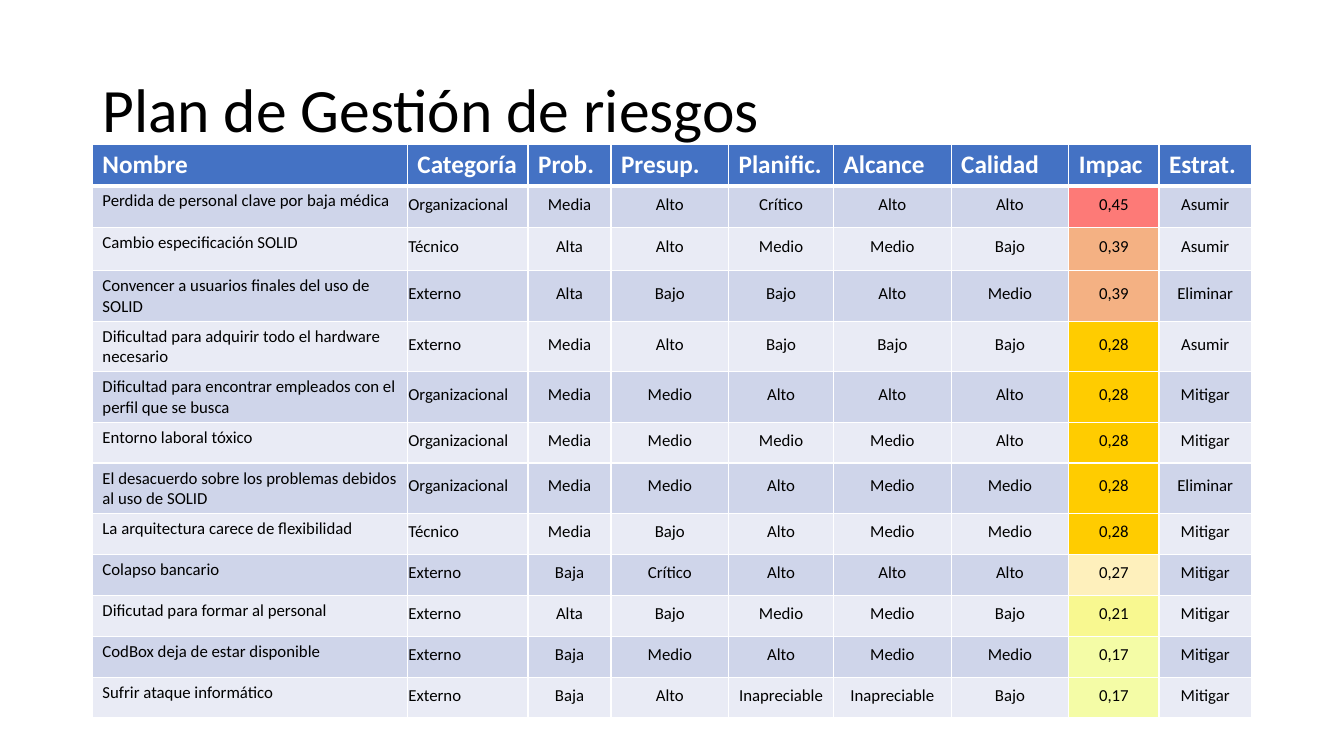
from lxml.etree import SubElement
from pptx import Presentation
from pptx.dml.color import RGBColor
from pptx.enum.text import MSO_ANCHOR, PP_ALIGN
from pptx.oxml.ns import qn
from pptx.util import Pt

PX = 9525
FONT = "Calibri"
BLACK = RGBColor(0x00, 0x00, 0x00)
WHITE = RGBColor(0xFF, 0xFF, 0xFF)
HEADER_BLUE = RGBColor(0x44, 0x72, 0xC4)
BANDS = (RGBColor(0xCF, 0xD5, 0xEA), RGBColor(0xE9, 0xEB, 0xF5))
IMPACT_COLORS = {
    "0,45": RGBColor(0xFD, 0x7A, 0x77),
    "0,39": RGBColor(0xF4, 0xB1, 0x83),
    "0,28": RGBColor(0xFF, 0xCC, 0x00),
    "0,27": RGBColor(0xFE, 0xF0, 0xBC),
    "0,21": RGBColor(0xF8, 0xF8, 0x90),
    "0,17": RGBColor(0xF4, 0xFC, 0xA6),
}

COLUMN_WIDTHS = (300, 115, 79, 112, 100, 112, 112, 86, 88)
ROW_HEIGHTS = (39, 40, 41) + (39,) * 10
HEADERS = ("Nombre", "Categoría", "Prob.", "Presup.", "Planific.",
           "Alcance", "Calidad", "Impac", "Estrat.")
RISKS = (
    ("Perdida de personal clave por baja médica", "Organizacional",
     "Media", "Alto", "Crítico", "Alto", "Alto", "0,45", "Asumir"),
    ("Cambio especificación SOLID", "Técnico",
     "Alta", "Alto", "Medio", "Medio", "Bajo", "0,39", "Asumir"),
    ("Convencer a usuarios finales del uso de SOLID", "Externo",
     "Alta", "Bajo", "Bajo", "Alto", "Medio", "0,39", "Eliminar"),
    ("Dificultad para adquirir todo el hardware necesario", "Externo",
     "Media", "Alto", "Bajo", "Bajo", "Bajo", "0,28", "Asumir"),
    ("Dificultad para encontrar empleados con el perfil que se busca", "Organizacional",
     "Media", "Medio", "Alto", "Alto", "Alto", "0,28", "Mitigar"),
    ("Entorno laboral tóxico", "Organizacional",
     "Media", "Medio", "Medio", "Medio", "Alto", "0,28", "Mitigar"),
    ("El desacuerdo sobre los problemas debidos al uso de SOLID", "Organizacional",
     "Media", "Medio", "Alto", "Medio", "Medio", "0,28", "Eliminar"),
    ("La arquitectura carece de flexibilidad", "Técnico",
     "Media", "Bajo", "Alto", "Medio", "Medio", "0,28", "Mitigar"),
    ("Colapso bancario", "Externo",
     "Baja", "Crítico", "Alto", "Alto", "Alto", "0,27", "Mitigar"),
    ("Dificutad para formar al personal", "Externo",
     "Alta", "Bajo", "Medio", "Medio", "Bajo", "0,21", "Mitigar"),
    ("CodBox deja de estar disponible", "Externo",
     "Baja", "Medio", "Alto", "Medio", "Medio", "0,17", "Mitigar"),
    ("Sufrir ataque informático", "Externo",
     "Baja", "Alto", "Inapreciable", "Inapreciable", "Bajo", "0,17", "Mitigar"),
)


def style_font(paragraph, size, color, bold=False):
    font = paragraph.font
    font.name = FONT
    font.size = Pt(size)
    font.bold = bold
    font.color.rgb = color


def add_title(slide, text):
    title = slide.shapes.add_textbox(88 * PX, 38 * PX, 1104 * PX, 139 * PX)
    frame = title.text_frame
    frame.word_wrap = True
    frame.vertical_anchor = MSO_ANCHOR.MIDDLE
    paragraph = frame.paragraphs[0]
    paragraph.text = text
    paragraph.line_spacing = 0.9
    style_font(paragraph, 44, BLACK)


def set_borders(cell, top=1, bottom=1):
    properties = cell._tc.get_or_add_tcPr()
    for side, width in (("L", 1), ("R", 1), ("T", top), ("B", bottom)):
        line = SubElement(properties, qn(f"a:ln{side}"), w=str(Pt(width)))
        fill = SubElement(line, qn("a:solidFill"))
        SubElement(fill, qn("a:srgbClr"), val=str(WHITE))


def fill_cell(cell, text, color):
    cell.fill.solid()
    cell.fill.fore_color.rgb = color
    paragraph = cell.text_frame.paragraphs[0]
    paragraph.text = text
    return paragraph


def write_header(cell, text):
    set_borders(cell, bottom=3)
    style_font(fill_cell(cell, text, HEADER_BLUE), 18, WHITE, bold=True)


def write_risk_cell(cell, text, row, column):
    set_borders(cell, top=3 if row == 0 else 1)
    paragraph = fill_cell(cell, text, IMPACT_COLORS.get(text, BANDS[row % 2]))
    if column > 0:
        cell.vertical_anchor = MSO_ANCHOR.MIDDLE
        cell.margin_left = cell.margin_right = cell.margin_top = PX
        cell.margin_bottom = 5 * PX
    if column > 1:
        paragraph.alignment = PP_ALIGN.CENTER
    style_font(paragraph, 12, BLACK)


def add_risk_table(slide):
    frame = slide.shapes.add_table(
        len(ROW_HEIGHTS), len(COLUMN_WIDTHS), 88 * PX, 138 * PX,
        sum(COLUMN_WIDTHS) * PX, sum(ROW_HEIGHTS) * PX)
    table = frame.table
    table.first_row = False
    table.horz_banding = False
    for column, width in zip(table.columns, COLUMN_WIDTHS):
        column.width = width * PX
    for row, height in zip(table.rows, ROW_HEIGHTS):
        row.height = height * PX
    for column, text in enumerate(HEADERS):
        write_header(table.cell(0, column), text)
    for row, risk in enumerate(RISKS):
        for column, text in enumerate(risk):
            write_risk_cell(table.cell(row + 1, column), text, row, column)


def main():
    presentation = Presentation()
    presentation.slide_width = 1280 * PX
    presentation.slide_height = 720 * PX
    slide = presentation.slides.add_slide(presentation.slide_layouts[6])
    add_title(slide, "Plan de Gestión de riesgos")
    add_risk_table(slide)
    presentation.save("out.pptx")


if __name__ == "__main__":
    main()
